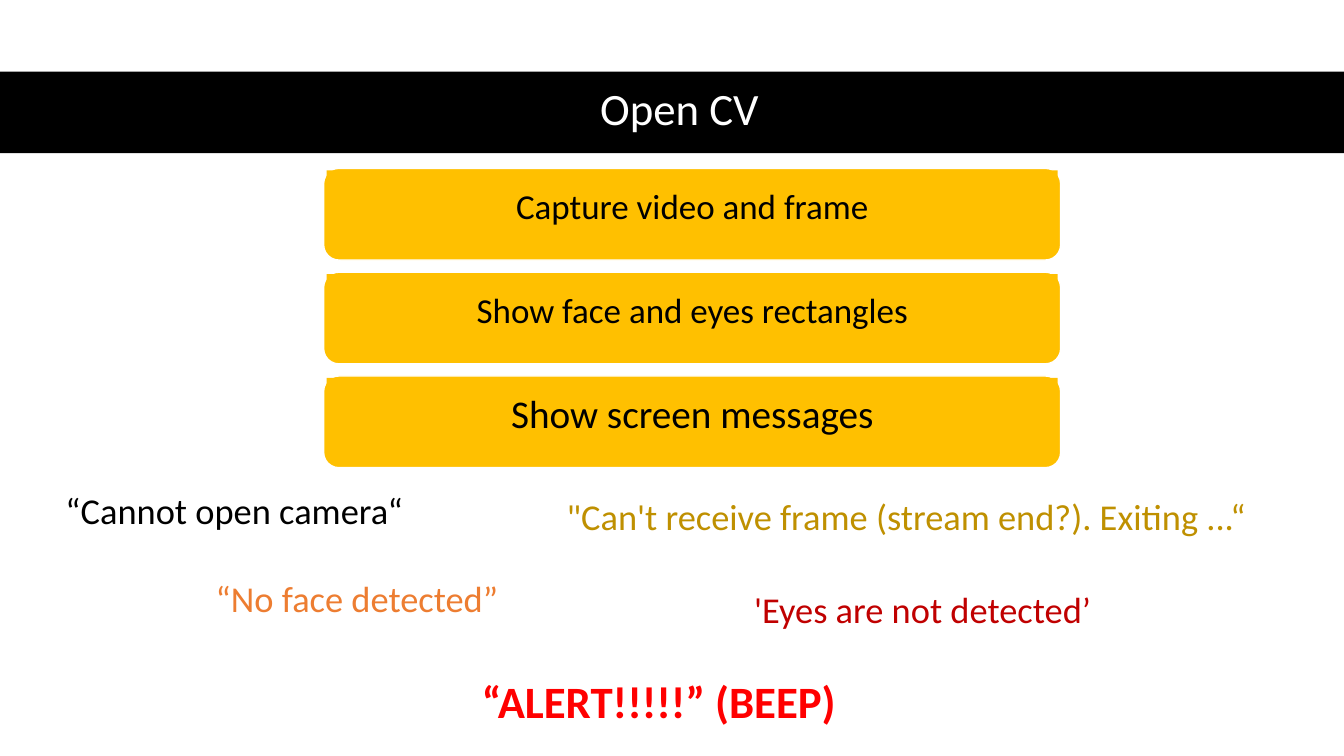
from pptx import Presentation
from pptx.dml.color import RGBColor
from pptx.enum.shapes import MSO_SHAPE
from pptx.enum.text import MSO_ANCHOR, PP_ALIGN
from pptx.util import Inches, Pt

BLACK, WHITE, AMBER = "000000", "FFFFFF", "FFC000"

STEPS = [
    ("Capture video and frame", 25),
    ("Show face and eyes rectangles", 25),
    ("Show screen messages", 28),
]

MESSAGES = [
    ("“Cannot open camera“", (0.54, 4.58, 3.73, 1.02), {"size": 26, "color": BLACK}),
    ("\"Can't receive frame (stream end?). Exiting ...“", (5.51, 4.9, 7.29, 0.49),
     {"size": 26, "color": "BF9000"}),
    ("“No face detected”", (2.03, 5.45, 3.58, 1.02), {"size": 26, "color": "ED7D31"}),
    ("'Eyes are not detected’", (7.37, 5.56, 5.9, 1.02), {"size": 26, "color": "C00000"}),
    ("“ALERT!!!!!” (BEEP)", (4.67, 6.47, 6.74, 1.02),
     {"size": 32, "color": "FF0000", "bold": True}),
]


def rgb(hex_color):
    return RGBColor.from_string(hex_color)


def add_block(slide, preset, box, fill, line=None):
    """Add a flat filled shape, outlined only when a line colour is given."""
    block = slide.shapes.add_shape(preset, *map(Inches, box))
    block.shadow.inherit = False
    block.fill.solid()
    block.fill.fore_color.rgb = rgb(fill)
    if line:
        block.line.color.rgb = rgb(line)
        block.line.width = Pt(1)
    else:
        block.line.fill.background()
    return block


def write(holder, text, size, color, bold=False, align=PP_ALIGN.LEFT, inset=0.11):
    frame = holder.text_frame
    margins = {f"margin_{side}": Inches(inset) for side in ("left", "top", "right", "bottom")}
    frame_format = {"word_wrap": True, "vertical_anchor": MSO_ANCHOR.MIDDLE, **margins}
    paragraph = frame.paragraphs[0]
    paragraph.text = text
    formats = [
        (frame, frame_format),
        (paragraph, {"alignment": align, "line_spacing": 0.9}),
        (paragraph.runs[0].font, {"name": "Calibri", "size": Pt(size), "bold": bold}),
    ]
    for target, values in formats:
        for attribute, value in values.items():
            setattr(target, attribute, value)
    paragraph.runs[0].font.color.rgb = rgb(color)


def add_text(slide, box, text, **style):
    write(slide.shapes.add_textbox(*map(Inches, box)), text, **style)


def add_title_band(slide, box, title):
    left, top, width, height = box
    add_block(slide, MSO_SHAPE.RECTANGLE, box, BLACK)
    add_text(slide, (left + 0.61, top - 0.01, width - 1.07, height), title,
             size=32, color=WHITE, align=PP_ALIGN.CENTER)


def add_steps(slide, box, steps, gap=0.12):
    """Stack equal rounded cards, each with a label panel near its top."""
    left, top, width, height = box
    card_height = (height - gap * (len(steps) - 1)) / len(steps)
    for index, (label, size) in enumerate(steps):
        card_top = top + index * (card_height + gap)
        add_block(slide, MSO_SHAPE.ROUNDED_RECTANGLE,
                  (left, card_top, width, card_height), AMBER, line=WHITE)
        panel = add_block(slide, MSO_SHAPE.RECTANGLE,
                          (left + 0.03, card_top + 0.02, width - 0.06, card_height - 0.15),
                          AMBER)
        write(panel, label, size, BLACK, align=PP_ALIGN.CENTER, inset=0.1)


def add_messages(slide, messages):
    for text, box, style in messages:
        add_text(slide, box, text, **style)


def main():
    deck = Presentation()
    deck.slide_width, deck.slide_height = Inches(13.33), Inches(7.5)
    slide = deck.slides.add_slide(deck.slide_layouts[6])
    add_title_band(slide, (0, 0.71, 13.33, 0.81), "Open CV")
    add_steps(slide, (3.21, 1.67, 7.31, 2.97), STEPS)
    add_messages(slide, MESSAGES)
    deck.save("out.pptx")


if __name__ == "__main__":
    main()
